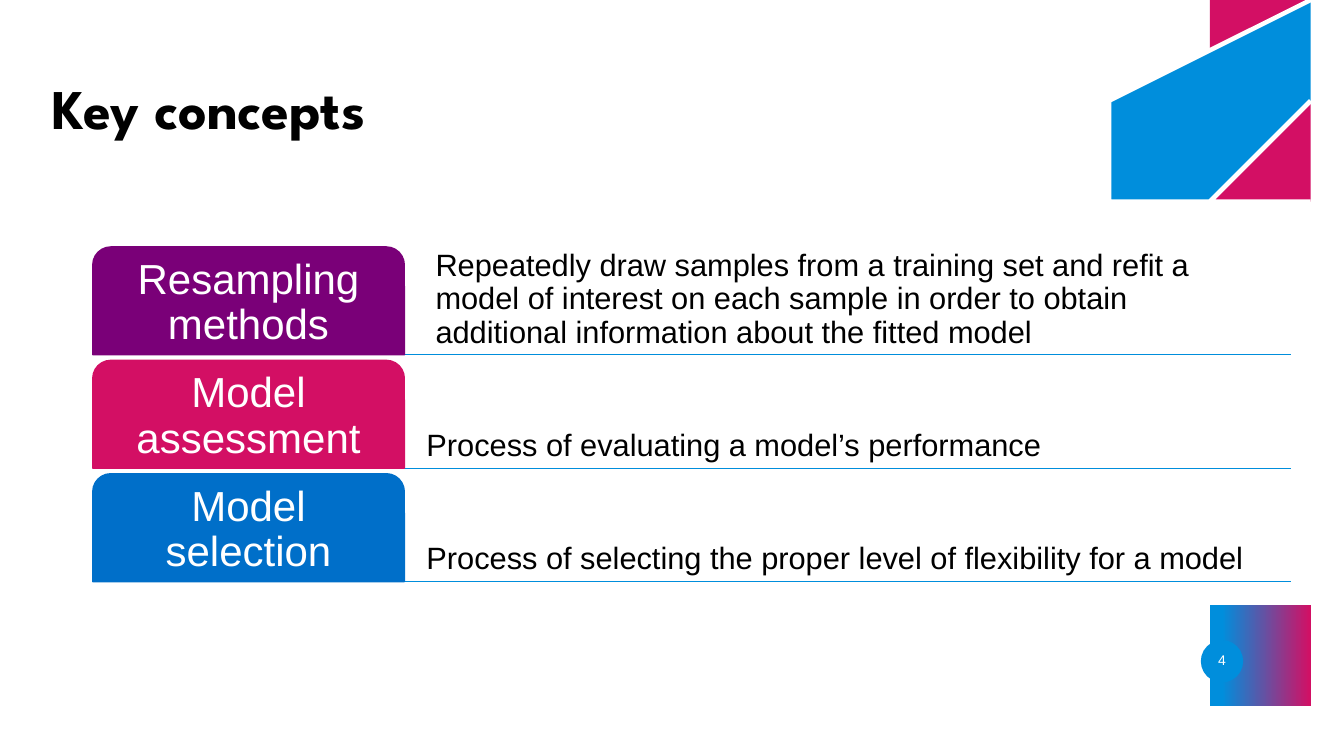
from lxml.etree import SubElement
from pptx import Presentation
from pptx.dml.color import RGBColor
from pptx.enum.shapes import MSO_CONNECTOR, MSO_SHAPE
from pptx.enum.text import MSO_ANCHOR, PP_ALIGN
from pptx.oxml.ns import qn
from pptx.util import Inches, Pt

BLACK = RGBColor(0x00, 0x00, 0x00)
WHITE = RGBColor(0xFF, 0xFF, 0xFF)
SKY = RGBColor(0x00, 0x8E, 0xDC)
CRIMSON = RGBColor(0xD3, 0x0F, 0x64)
PURPLE = RGBColor(0x7A, 0x00, 0x78)
BLUE = RGBColor(0x00, 0x6F, 0xC9)

# The grid has square cells of one inch
COLS, ROWS = 13.33, 7.5
CURVE_STEPS = 16

# Table of concepts
TAB_LEFT, TAB_WIDTH, TAB_HEIGHT = 0.92, 3.09, 1.07
FIRST_TOP, ROW_PITCH, RULE_RIGHT = 2.45, 1.125, 12.8

# label, tab colour, description, its left and width, its left inset
CONCEPTS = [
    ("Resampling methods", PURPLE,
     "Repeatedly draw samples from a training set and refit a model of interest "
     "on each sample in order to obtain additional information about the fitted model",
     4.27, 8.27, 0.05),
    ("Model assessment", CRIMSON,
     "Process of evaluating a model’s performance", 4.01, 8.78, 0.22),
    ("Model selection", BLUE,
     "Process of selecting the proper level of flexibility for a model", 4.01, 8.78, 0.22),
]

# Outlines: a start point, then line steps (one point) or curve steps (three points)
DISC = [(COLS, 0), [(11.78, 0)], [(11.75, 0.16), (11.79, 0.34), (11.88, 0.52)],
        [(11.89, 0.55)], [(11.89, 0.55), (11.99, 0.74), (12.19, 0.89)], [(COLS, 0.34)]]
WIDE_BAR = [(COLS, 0.36), [(11.21, 1.39)], [(11.21, 1.39), (10.85, 1.57), (11.01, 1.89)],
            [(11.01, 1.9)], [(11.01, 1.9), (11.17, 2.22), (11.54, 2.04)], [(COLS, 1.17)]]
THIN_BAR = [(COLS, 1.26), [(12.27, 1.78)], [(12.27, 1.78), (12.13, 1.85), (12.2, 1.97)],
            [(12.2, 1.98)], [(12.2, 1.98), (12.26, 2.11), (12.4, 2.04)], [(COLS, 1.58)]]
PILL = [(COLS, 6.34), [(12.62, 6.34)], [(12.62, 6.34), (12.41, 6.34), (12.41, 6.55)],
        [(12.41, 6.56)], [(12.41, 6.56), (12.41, 6.77), (12.62, 6.77)], [(COLS, 6.77)]]


def trace(outline):
    """Turn an outline into closely spaced points."""
    points = [outline[0]]
    for step in outline[1:]:
        if len(step) == 1:
            points += step
            continue
        corners = list(zip(points[-1], *step))
        for i in range(1, CURVE_STEPS + 1):
            t = i / CURVE_STEPS
            u = 1 - t
            points.append(tuple(a * u**3 + 3 * b * u * u * t + 3 * c * u * t * t + d * t**3
                                for a, b, c, d in corners))
    return points


class SlideBuilder:
    font = "Arial"
    title_font = "League Spartan"
    rule_width = Pt(1)
    edge_width = Pt(3.25)
    line_spacing = 0.9

    def __init__(self, slide):
        self.slide = slide
        self.shapes = slide.shapes

    def set_text(self, sp, text, size, color, align=PP_ALIGN.LEFT, anchor=MSO_ANCHOR.MIDDLE,
                 inset=0.05, left_inset=None, font=None, bold=False):
        tf = sp.text_frame
        tf.word_wrap = True
        tf.vertical_anchor = anchor
        tf.margin_top = tf.margin_right = tf.margin_bottom = Inches(inset)
        tf.margin_left = Inches(inset if left_inset is None else left_inset)
        p = tf.paragraphs[0]
        p.text = text
        p.alignment = align
        p.line_spacing = self.line_spacing
        p.font.name = font or self.font
        p.font.size = Pt(size)
        p.font.bold = bold
        p.font.color.rgb = color

    def title(self, text, *box):
        sp = self.shapes.title
        sp.left, sp.top, sp.width, sp.height = map(Inches, box)
        self.set_text(sp, text, 40, BLACK, inset=0.1, font=self.title_font, bold=True)

    def text(self, text, *box, **style):
        sp = self.shapes.add_textbox(*map(Inches, box))
        self.set_text(sp, text, 22, BLACK, **style)

    def shape(self, kind, color, *box):
        sp = self.shapes.add_shape(kind, *map(Inches, box))
        sp.shadow.inherit = False
        sp.fill.solid()
        sp.fill.fore_color.rgb = color
        sp.line.fill.background()
        return sp

    def rule(self, x1, x2, y):
        cn = self.shapes.add_connector(MSO_CONNECTOR.STRAIGHT, *map(Inches, (x1, y, x2, y)))
        cn.line.color.rgb = SKY
        cn.line.width = self.rule_width
        SubElement(cn.element.spPr, qn("a:effectLst"))

    def freeform(self, outline, color, edge=False, end_color=None):
        start, *rest = trace(outline)
        builder = self.shapes.build_freeform(*start, scale=Inches(1))
        builder.add_line_segments(rest, close=False)
        sp = builder.convert_to_shape()
        sp.shadow.inherit = False
        if end_color is None:
            sp.fill.solid()
            sp.fill.fore_color.rgb = color
        else:
            sp.fill.gradient()
            sp.fill.gradient_angle = 0
            for stop, rgb, at in zip(sp.fill.gradient_stops, (color, end_color), (0.12, 1)):
                stop.color.rgb = rgb
                stop.position = at
        if edge:
            sp.line.color.rgb = WHITE
            sp.line.width = self.edge_width
        else:
            sp.line.fill.background()


def main():
    prs = Presentation()
    prs.slide_width, prs.slide_height = Inches(COLS), Inches(ROWS)
    s = SlideBuilder(prs.slides.add_slide(prs.slide_layouts[5]))

    # Corner decoration
    s.freeform(DISC, CRIMSON)
    s.freeform(THIN_BAR, CRIMSON, edge=True)
    s.freeform(WIDE_BAR, SKY, edge=True)

    # Slide number
    s.freeform(PILL, SKY, end_color=CRIMSON)
    badge = s.shape(MSO_SHAPE.OVAL, SKY, 11.91, 6.35, 0.42, 0.42)
    s.set_text(badge, "4", 10, WHITE, align=PP_ALIGN.CENTER, inset=0)

    s.title("Key concepts", 0.42, 0.74, 10, 0.72)

    # Concepts: rule, tab and description in each row
    for i, (label, color, description, left, width, left_inset) in enumerate(CONCEPTS):
        top = FIRST_TOP + i * ROW_PITCH
        s.rule(TAB_LEFT, RULE_RIGHT, top + TAB_HEIGHT)
        tab = s.shape(MSO_SHAPE.ROUND_2_SAME_RECTANGLE, color,
                      TAB_LEFT, top, TAB_WIDTH, TAB_HEIGHT)
        tab.line.color.rgb = color
        tab.line.width = s.rule_width
        s.set_text(tab, label, 30, WHITE, align=PP_ALIGN.CENTER, inset=0.06)
        s.text(description, left, top, width, TAB_HEIGHT,
               anchor=MSO_ANCHOR.BOTTOM, left_inset=left_inset)

    prs.save("out.pptx")


if __name__ == "__main__":
    main()
